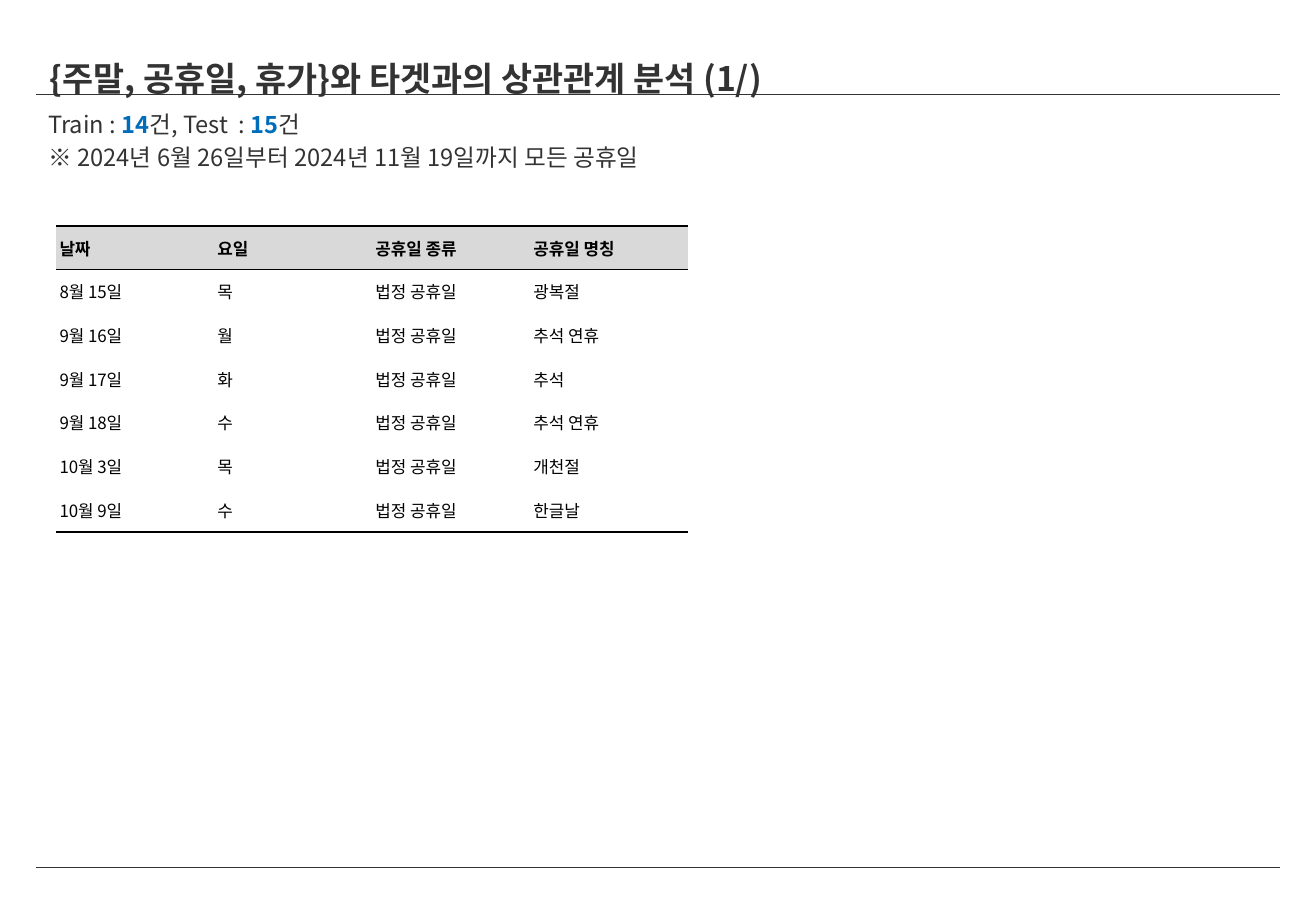
from dataclasses import dataclass

from lxml import etree
from pptx import Presentation
from pptx.dml.color import RGBColor
from pptx.enum.shapes import MSO_CONNECTOR
from pptx.enum.text import MSO_ANCHOR
from pptx.oxml.ns import qn
from pptx.util import Inches, Pt

STRAIGHT = MSO_CONNECTOR.STRAIGHT
TOP, MIDDLE = MSO_ANCHOR.TOP, MSO_ANCHOR.MIDDLE
PLAIN_TABLE = "{2D5ABB26-0587-4C30-8999-92F81FD0307C}"


@dataclass(frozen=True)
class Theme:
    font: str = "Noto Sans CJK KR"
    text: str = "333333"
    accent: str = "006DBB"
    black: str = "000000"
    header: str = "D9D9D9"
    title_size: int = 20
    body_size: int = 14
    table_size: int = 10
    rule_width: float = 0.5
    border_width: float = 1


THEME = Theme()

TITLE = "{주말, 공휴일, 휴가}와 타겟과의 상관관계 분석 (1/)"
# Each run is its text and whether it is a highlighted figure.
SUMMARY = [
    [("Train : ", False), ("14", True), ("건, Test  : ", False),
     ("15", True), ("건", False)],
    [("※ 2024년 6월 26일부터 2024년 11월 19일까지 모든 공휴일", False)],
]
HOLIDAYS = [
    ("날짜", "요일", "공휴일 종류", "공휴일 명칭"),
    ("8월 15일", "목", "법정 공휴일", "광복절"),
    ("9월 16일", "월", "법정 공휴일", "추석 연휴"),
    ("9월 17일", "화", "법정 공휴일", "추석"),
    ("9월 18일", "수", "법정 공휴일", "추석 연휴"),
    ("10월 3일", "목", "법정 공휴일", "개천절"),
    ("10월 9일", "수", "법정 공휴일", "한글날"),
]


def format_run(r, size, color, bold=False):
    """Set the run's look, with the font for Latin and Korean letters alike."""
    r.font.size = Pt(size)
    r.font.bold = bold
    r.font.color.rgb = RGBColor.from_string(color)
    r.font.name = THEME.font
    latin = r.font._element.find(qn("a:latin"))
    ea = etree.Element(qn("a:ea"), typeface=THEME.font)
    latin.addnext(ea)


def add_rule(slide, y):
    line = slide.shapes.add_connector(
        STRAIGHT, Inches(0.3), Inches(y), Inches(10.53), Inches(y))
    line.line.color.rgb = RGBColor.from_string(THEME.text)
    line.line.width = Pt(THEME.rule_width)
    etree.SubElement(line._element.spPr, qn("a:effectLst"))


def add_text_frame(slide, left, top, width, height, anchor):
    sp = slide.shapes.add_textbox(
        Inches(left), Inches(top), Inches(width), Inches(height))
    tf = sp.text_frame
    tf.word_wrap = True
    tf.vertical_anchor = anchor
    return tf


def add_title(slide):
    tf = add_text_frame(slide, 0.31, 0.41, 9.68, 0.3, MIDDLE)
    tf.text = TITLE
    p = tf.paragraphs[0]
    p.line_spacing = 1.5
    format_run(p.runs[0], THEME.title_size, THEME.text, bold=True)


def add_summary(slide):
    tf = add_text_frame(slide, 0.3, 0.84, 10.24, 0.87, TOP)
    tf.margin_top = Inches(0.08)
    for i, runs in enumerate(SUMMARY):
        p = tf.add_paragraph() if i else tf.paragraphs[0]
        p.line_spacing = 0.96
        if i:
            p.space_before = Pt(3.6)
        for text, highlight in runs:
            r = p.add_run()
            r.text = text
            color = THEME.accent if highlight else THEME.text
            format_run(r, THEME.body_size, color, highlight)


def add_border(cell, side):
    """Draw one side of a cell; call before filling the cell."""
    ln = etree.SubElement(cell._tc.get_or_add_tcPr(), qn(f"a:ln{side}"),
                          w=str(Pt(THEME.border_width)))
    fill = etree.SubElement(ln, qn("a:solidFill"))
    etree.SubElement(fill, qn("a:srgbClr"), val=THEME.black)


def format_cell(cell, text, is_header, borders):
    cell.text = text
    cell.vertical_anchor = MIDDLE
    cell.margin_left = cell.margin_right = Inches(0.03)
    cell.margin_top = cell.margin_bottom = Inches(0.01)
    format_run(cell.text_frame.paragraphs[0].runs[0],
               THEME.table_size, THEME.black, is_header)
    for side in borders:
        add_border(cell, side)
    if is_header:
        cell.fill.solid()
        cell.fill.fore_color.rgb = RGBColor.from_string(THEME.header)
    else:
        cell.fill.background()


def add_holiday_table(slide):
    rows, cols = len(HOLIDAYS), len(HOLIDAYS[0])
    table = slide.shapes.add_table(
        rows, cols, Inches(0.46), Inches(1.86),
        Inches(1.3 * cols), Inches(0.36 * rows)).table
    table.horz_banding = False
    table._tbl.tblPr.find(qn("a:tableStyleId")).text = PLAIN_TABLE
    borders = {0: "TB", rows - 1: "B"}
    for i, texts in enumerate(HOLIDAYS):
        for j, text in enumerate(texts):
            format_cell(table.cell(i, j), text, i == 0, borders.get(i, ""))


def main():
    prs = Presentation()
    prs.slide_width, prs.slide_height = Inches(10.83), Inches(7.5)
    slide = prs.slides.add_slide(prs.slide_layouts[6])
    for y in (7.14, 0.78):
        add_rule(slide, y)
    add_title(slide)
    add_holiday_table(slide)
    add_summary(slide)
    prs.save("out.pptx")


if __name__ == "__main__":
    main()
